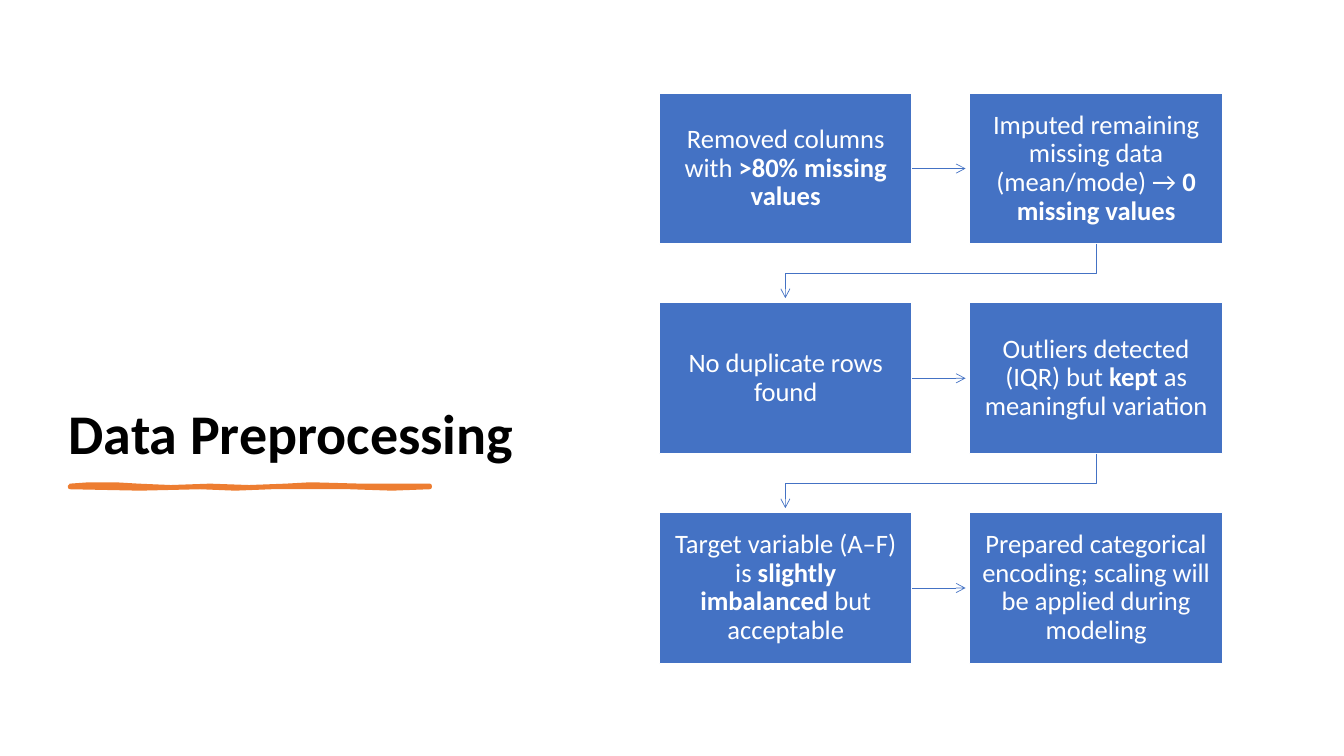
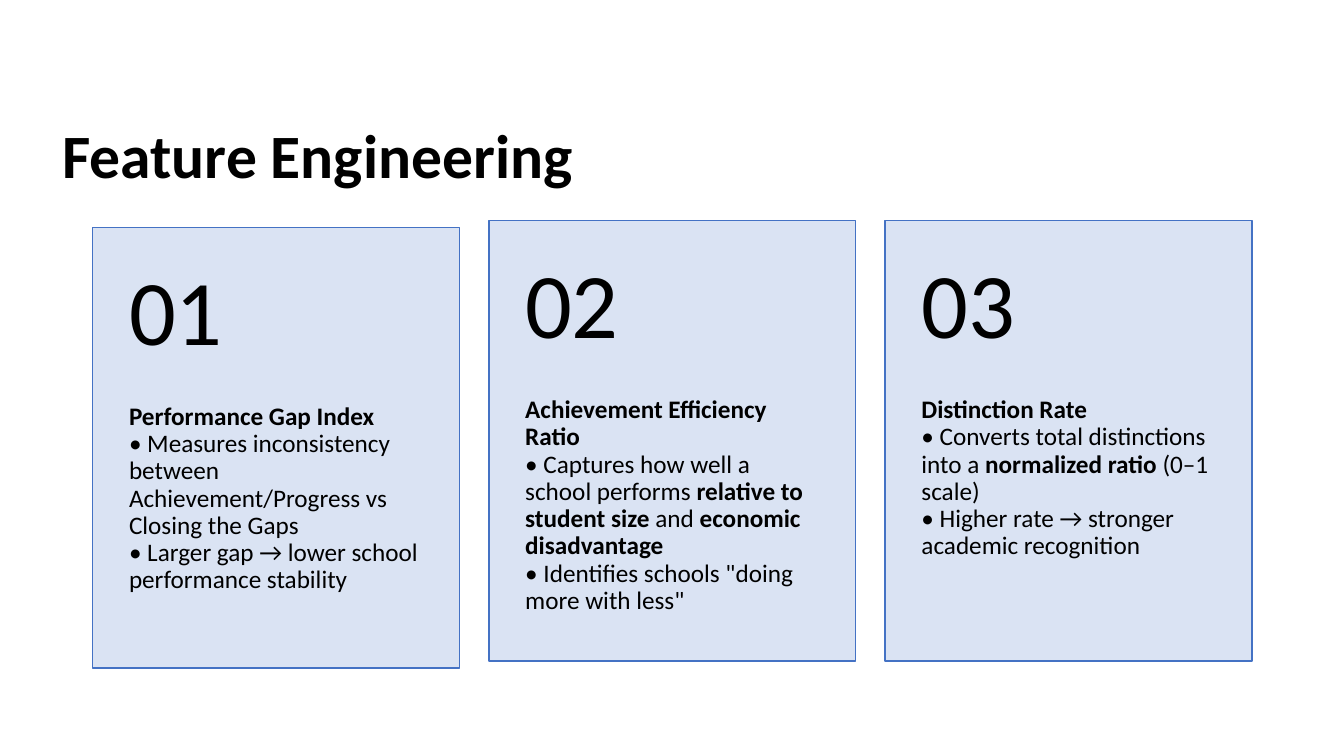
import pptx
import pptx.util
import pptx.dml.color
import pptx.enum.shapes
import pptx.enum.text
import pptx.oxml
from lxml import etree

Pt = pptx.util.Pt
RGB = pptx.dml.color.RGBColor
ANCHOR = pptx.enum.text.MSO_ANCHOR
ALIGN = pptx.enum.text.PP_ALIGN

BLUE = RGB(0x44, 0x72, 0xC4)
PALE = RGB(0xDA, 0xE3, 0xF3)
ORANGE = RGB(0xED, 0x7D, 0x31)
BLACK = RGB(0, 0, 0)
WHITE = RGB(255, 255, 255)
FONT = "Calibri"

STEPS = [
    "Removed columns with *>80% missing values*",
    "Imputed remaining missing data (mean/mode) → *0 missing values*",
    "No duplicate rows found",
    "Outliers detected (IQR) but *kept* as meaningful variation",
    "Target variable (A–F) is *slightly imbalanced* but acceptable",
    "Prepared categorical encoding; scaling will be applied during modeling",
]
CARDS = [
    ["*Performance Gap Index*",
     "• Measures inconsistency between Achievement/Progress vs Closing the Gaps",
     "• Larger gap → lower school performance stability"],
    ["*Achievement Efficiency Ratio*",
     "• Captures how well a school performs *relative to student size* "
     "and *economic disadvantage*",
     "• Identifies schools \"doing more with less\""],
    ["*Distinction Rate*",
     "• Converts total distinctions into a *normalized ratio* (0–1 scale)",
     "• Higher rate → stronger academic recognition"],
]
BRUSH = [(50.4, 347), (64, 346), (82, 345.8), (99.4, 347), (122, 348),
         (150.5, 347), (178, 347.5), (204, 347), (222, 346.5), (258, 347.2),
         (282, 346.7), (306.7, 347), (306.7, 348.5), (280, 348.8),
         (250.5, 348.5), (225, 347.7), (194.4, 348.5), (168, 349.3),
         (143, 348.5), (100, 349), (50.4, 348.5)]


def write(shape, lines, size, color, anchor, pad, align=ALIGN.LEFT):
    """Fill a shape with lines; text between asterisks is bold."""
    frame = shape.text_frame
    frame.word_wrap = True
    frame.vertical_anchor = anchor
    frame.margin_left, frame.margin_top, frame.margin_right, frame.margin_bottom = map(Pt, pad)
    for i, line in enumerate(lines):
        para = frame.paragraphs[0] if i == 0 else frame.add_paragraph()
        para.alignment = align
        para.line_spacing = 0.9
        para.font.name, para.font.size = FONT, Pt(size)
        para.font.color.rgb = color
        for j, part in enumerate(line.split("*")):
            if part:
                run = para.add_run()
                run.text = part
                if j % 2:
                    run.font.bold = True


def label(slide, box, *style):
    write(slide.shapes.add_textbox(*map(Pt, box)), *style)


def title(slide, text, box, size, anchor):
    label(slide, box, [f"*{text}*"], size, BLACK, anchor, (7.2, 3.6, 7.2, 3.6))


def panel(slide, box, fill, line):
    rect = slide.shapes.add_shape(
        pptx.enum.shapes.MSO_SHAPE.RECTANGLE, *map(Pt, box))
    rect.shadow.inherit = False
    rect.fill.solid()
    rect.fill.fore_color.rgb = fill
    rect.line.color.rgb = line
    rect.line.width = Pt(1)
    return rect


def outline(slide, points, close):
    pen = slide.shapes.build_freeform(*points[0], scale=Pt(1))
    pen.add_line_segments(points[1:], close=close)
    shape = pen.convert_to_shape()
    shape.shadow.inherit = False
    return shape


def arrow(slide, points):
    """Draw a thin arrow: a connector if straight, else an open path."""
    if len(points) == 2:
        shape = slide.shapes.add_connector(
            pptx.enum.shapes.MSO_CONNECTOR.STRAIGHT,
            *[Pt(n) for point in points for n in point])
    else:
        shape = outline(slide, points, False)
        shape.fill.background()
    shape.line.color.rgb = BLUE
    shape.line.width = Pt(0.5)
    props = shape.line._get_or_add_ln()
    etree.SubElement(props, pptx.oxml.ns.qn("a:tailEnd"), type="arrow")
    if len(points) == 2:
        etree.SubElement(shape._element.spPr, pptx.oxml.ns.qn("a:effectLst"))


def brush(slide):
    stroke = outline(slide, BRUSH, True)
    stroke.fill.solid()
    stroke.fill.fore_color.rgb = ORANGE
    stroke.line.color.rgb = ORANGE
    stroke.line.width = Pt(3)
    etree.SubElement(stroke.line._get_or_add_ln(), pptx.oxml.ns.qn("a:round"))


def flow(slide, left, top, width, height):
    """Steps in two columns and three rows, joined in reading order."""
    wide, high = 180.5, 108
    across, down = width - wide, (height - high) / 2
    for i, step in enumerate(STEPS):
        row, col = divmod(i, 2)
        x, y = left + col * across, top + row * down
        mid, base = x + wide / 2, y + high
        rect = panel(slide, (x, y, wide, high), BLUE, WHITE)
        write(rect, [step], 19, WHITE, ANCHOR.MIDDLE, (8.8, 9.3, 8.8, 9.3),
              ALIGN.CENTER)
        if col == 0:
            arrow(slide, [(x + wide, y + high / 2),
                          (x + across - 3, y + high / 2)])
        elif row < 2:
            arrow(slide, [(mid, base), (mid, base + 20.8),
                          (mid - across, base + 20.8),
                          (mid - across, y + down - 3)])


def card(slide, number, lines, left, top, width, height):
    head = height * 0.4
    panel(slide, (left, top, width, height), PALE, BLUE)
    label(slide, (left, top + head, width, height - head), lines, 18, BLACK,
          ANCHOR.TOP, (26, 0, 26, 26))
    label(slide, (left, top, width, head), [f"{number:02}"], 66, BLACK,
          ANCHOR.MIDDLE, (26, 13, 26, 13))


def steps(slide):
    title(slide, "Data Preprocessing", (42, 237, 392, 100), 40, ANCHOR.BOTTOM)
    brush(slide)
    flow(slide, 471, 66.4, 402.2, 407.6)


def features(slide):
    title(slide, "Feature Engineering", (37.4, 67.7, 842, 90.7), 44,
          ANCHOR.MIDDLE)
    for i, lines in enumerate(CARDS):
        top = 157.7 if i else 162.5
        card(slide, i + 1, lines, 66.2 + i * 283, top, 262.1, 314.6)


def main():
    deck = pptx.Presentation()
    deck.slide_width, deck.slide_height = Pt(960), Pt(540)
    for build in (steps, features):
        build(deck.slides.add_slide(deck.slide_layouts[6]))
    deck.save("out.pptx")


if __name__ == "__main__":
    main()
